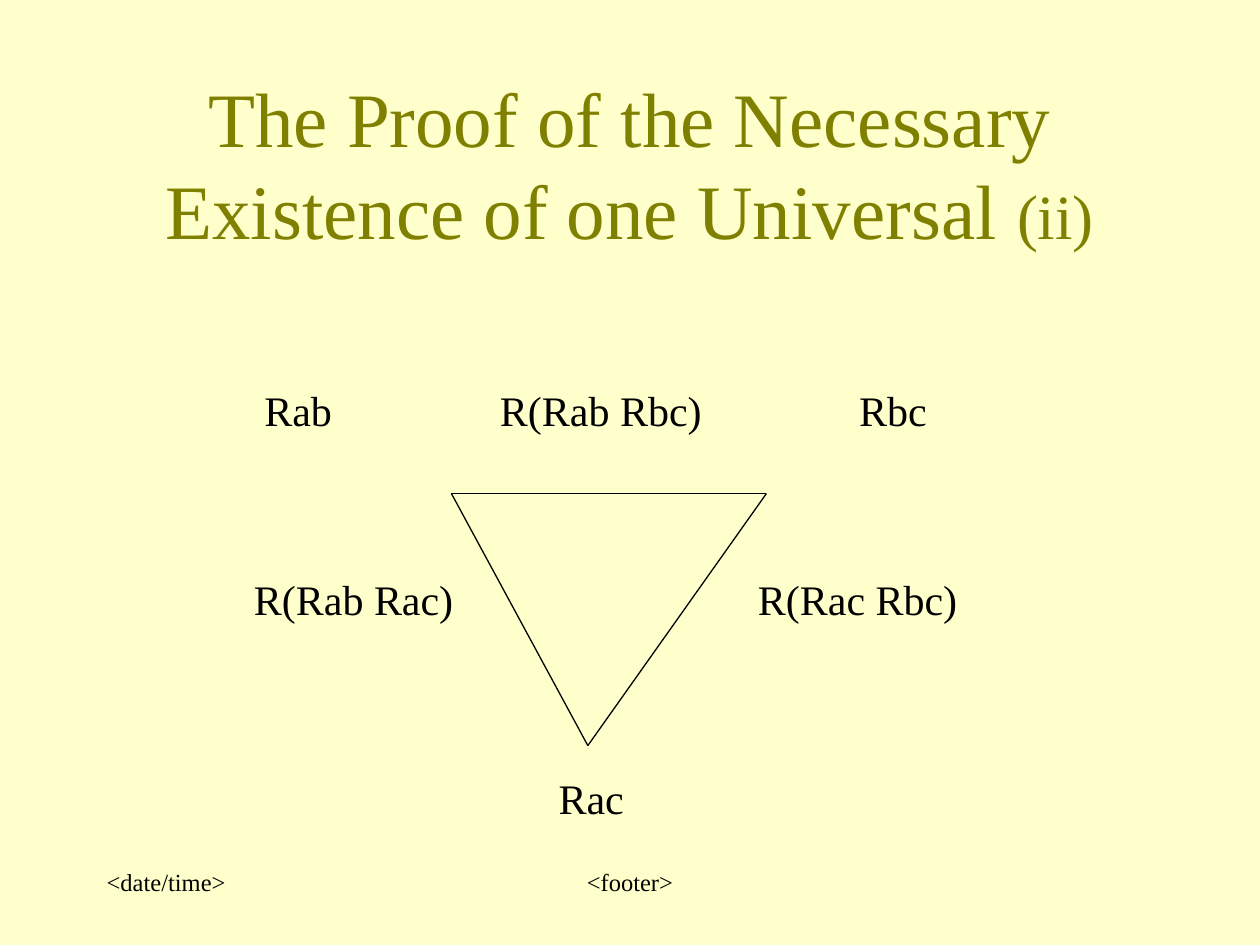
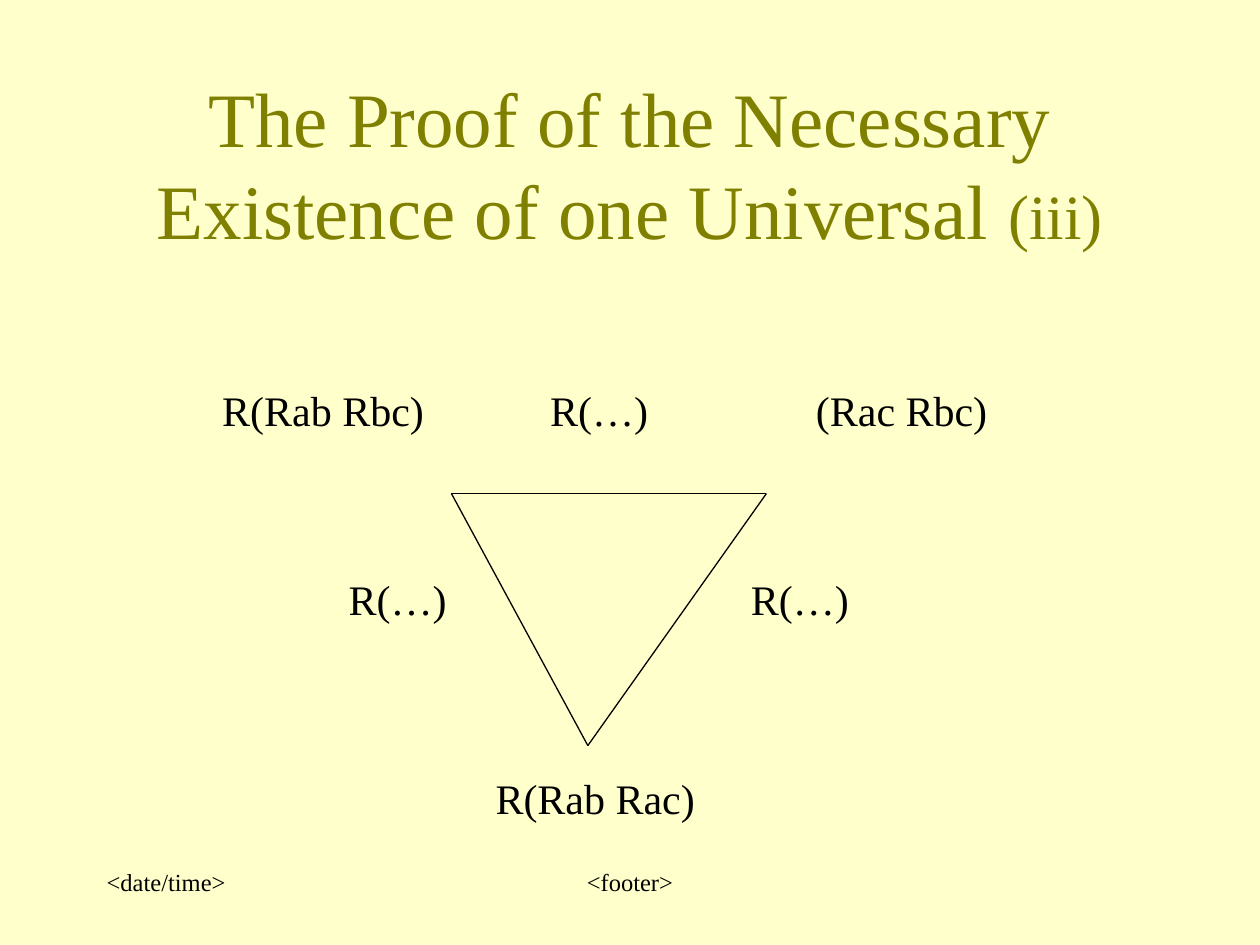
from dataclasses import dataclass
from itertools import combinations

from lxml import etree
from pptx import Presentation
from pptx.dml.color import RGBColor
from pptx.enum.shapes import MSO_CONNECTOR
from pptx.enum.text import MSO_ANCHOR, PP_ALIGN
from pptx.oxml.ns import qn
from pptx.slide import Slide
from pptx.util import Cm, Pt

CREAM = RGBColor(0xFF, 0xFF, 0xCC)
OLIVE = RGBColor(0x80, 0x80, 0x00)
BLACK = RGBColor(0x00, 0x00, 0x00)
FONT = "Times New Roman"
LEFT, CENTER = PP_ALIGN.LEFT, PP_ALIGN.CENTER
TOP, MIDDLE = MSO_ANCHOR.TOP, MSO_ANCHOR.MIDDLE
STRAIGHT = MSO_CONNECTOR.STRAIGHT

TITLE = "The Proof of the Necessary Existence of one Universal "


@dataclass(frozen=True)
class Box:
    left: float
    top: float
    width: float
    height: float = 1.27


@dataclass(frozen=True)
class Label:
    text: str
    offset: float


@dataclass(frozen=True)
class ProofStep:
    numeral: str
    rows: tuple[tuple[Label, ...], ...]


TITLE_BOX = Box(1.9, 1.69, 21.59, 3.18)
DATE_BOX = Box(1.9, 17.36, 5.29)
FOOTER_BOX = Box(8.68, 17.36, 8.04)
ROW_BOXES = (
    Box(4.23, 7.62, 17.57),
    Box(4.45, 11.43, 17.15),
    Box(4.45, 15.45, 12.49),
)
TRIANGLE_CORNERS = ((9.1, 9.95), (15.45, 9.95), (11.85, 15.03))

PROOF_STEPS = (
    ProofStep("(ii)", (
        (Label("Rab", 0.85), Label("R(Rab Rbc)", 5.6), Label("Rbc", 12.84)),
        (Label("R(Rab Rac)", 0.42), Label("R(Rac Rbc)", 10.58)),
        (Label("Rac", 6.56),),
    )),
    ProofStep("(iii)", (
        (Label("R(Rab Rbc)", 0), Label("R(…)", 6.61), Label("(Rac Rbc)", 11.97)),
        (Label("R(…)", 2.33), Label("R(…)", 10.44)),
        (Label("R(Rab Rac)", 5.29),),
    )),
)


def add_text(slide: Slide, box: Box, *runs: tuple[str, int],
             color: RGBColor = BLACK, align: PP_ALIGN = LEFT,
             anchor: MSO_ANCHOR = TOP) -> None:
    frame = slide.shapes.add_textbox(
        Cm(box.left), Cm(box.top), Cm(box.width), Cm(box.height)).text_frame
    frame.word_wrap = True
    frame.vertical_anchor = anchor
    paragraph = frame.paragraphs[0]
    paragraph.alignment = align
    for text, size in runs:
        run = paragraph.add_run()
        run.text = text
        run.font.name = FONT
        run.font.size = Pt(size)
        run.font.color.rgb = color


def add_label_row(slide: Slide, row: Box, labels: tuple[Label, ...]) -> None:
    ends = [label.offset for label in labels[1:]] + [row.width]
    for label, end in zip(labels, ends):
        label_box = Box(row.left + label.offset, row.top, end - label.offset)
        add_text(slide, label_box, (label.text, 24))


def add_triangle(slide: Slide) -> None:
    for start, end in combinations(TRIANGLE_CORNERS, 2):
        side = slide.shapes.add_connector(
            STRAIGHT, *(Cm(value) for value in start + end))
        side.line.color.rgb = BLACK
        side.line.width = Pt(0.75)
        etree.SubElement(side._element.spPr, qn("a:effectLst"))


def add_proof_slide(prs, step: ProofStep) -> None:
    slide = prs.slides.add_slide(prs.slide_layouts[6])
    slide.background.fill.solid()
    slide.background.fill.fore_color.rgb = CREAM
    add_text(slide, FOOTER_BOX, ("<footer>", 14), align=CENTER)
    add_text(slide, DATE_BOX, ("<date/time>", 14))
    add_text(slide, TITLE_BOX, (TITLE, 44), (step.numeral, 36),
             color=OLIVE, align=CENTER, anchor=MIDDLE)
    for row, labels in zip(ROW_BOXES, step.rows):
        add_label_row(slide, row, labels)
    add_triangle(slide)


def main() -> None:
    prs = Presentation()
    prs.slide_width, prs.slide_height = Cm(25.4), Cm(19.05)
    for step in PROOF_STEPS:
        add_proof_slide(prs, step)
    prs.save("out.pptx")


if __name__ == "__main__":
    main()
